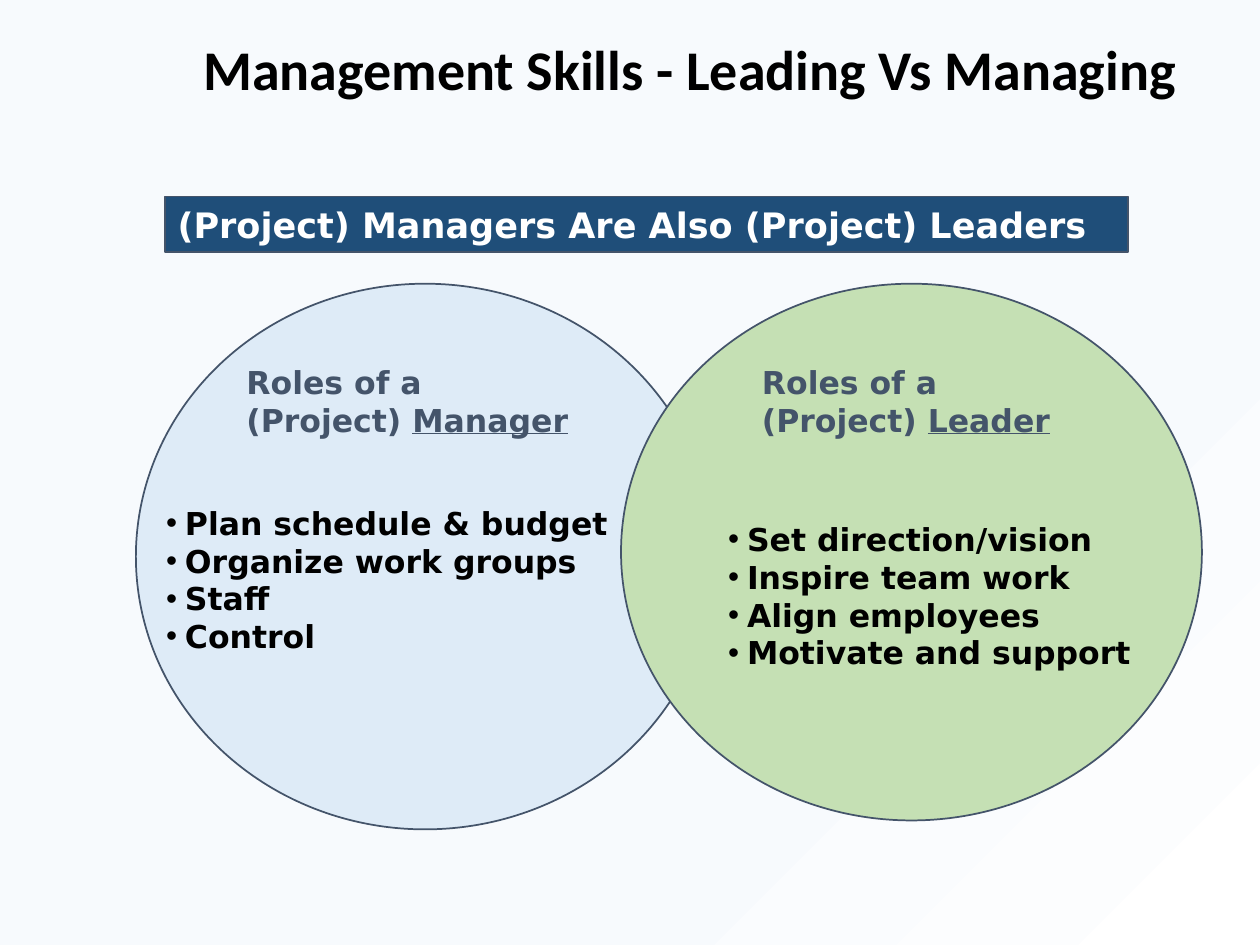
from dataclasses import dataclass
from typing import Any

from lxml import etree
from pptx import Presentation
from pptx import util as u
from pptx.dml.color import RGBColor
from pptx.enum import shapes, text
from pptx.oxml.ns import qn

COLOURS = {
    "navy": "1F4E79", "slate": "44546A", "blue": "DEEBF7", "green": "C5E0B4",
    "black": "000000", "white": "FFFFFF", "mist": "F7FAFD",
}


def colour(name):
    return RGBColor.from_string(COLOURS[name])


@dataclass
class SlideBuilder:
    """Holds the text style and the slide being built."""

    slide: Any
    font: str = "DejaVu Sans"
    size: int = 18

    def background(self):
        fill = self.slide.background.fill
        fill.gradient()
        fill.gradient_angle = 315
        for stop, (position, name) in zip(fill.gradient_stops, [(0.67, "mist"), (1, "white")]):
            stop.position = position
            stop.color.rgb = colour(name)

    def run(self, paragraph, words, name, size=None, font=None, underline=None):
        run = paragraph.add_run()
        run.text = words
        run.font.name = font or self.font
        run.font.size = u.Pt(size or self.size)
        run.font.bold = True
        run.font.underline = underline
        run.font.color.rgb = colour(name)

    def title(self, words, *box):
        shape = self.slide.shapes.title
        shape.left, shape.top, shape.width, shape.height = map(u.Cm, box)
        shape.text_frame.vertical_anchor = text.MSO_ANCHOR.MIDDLE
        paragraph = shape.text_frame.paragraphs[0]
        paragraph.alignment = text.PP_ALIGN.CENTER
        paragraph.line_spacing = 0.9
        self.run(paragraph, words, "black", 32, "Calibri")

    def shape(self, kind, fill, *box):
        shape = self.slide.shapes.add_shape(kind, *map(u.Cm, box))
        shape.shadow.inherit = False
        shape.fill.solid()
        shape.fill.fore_color.rgb = colour(fill)
        shape.line.color.rgb = colour("slate")
        shape.line.width = u.Pt(1)
        return shape

    def banner(self, words, *box):
        shape = self.shape(shapes.MSO_SHAPE.RECTANGLE, "navy", *box)
        paragraph = shape.text_frame.paragraphs[0]
        paragraph.alignment = text.PP_ALIGN.LEFT
        self.run(paragraph, words, "white", 20)

    def circle(self, fill, *box):
        self.shape(shapes.MSO_SHAPE.OVAL, fill, *box)

    def text_frame(self, *box):
        frame = self.slide.shapes.add_textbox(*map(u.Cm, box)).text_frame
        frame.word_wrap = False
        return frame

    def heading(self, role, *box):
        frame = self.text_frame(*box)
        self.run(frame.paragraphs[0], "Roles of a", "slate")
        paragraph = frame.add_paragraph()
        self.run(paragraph, "(Project) ", "slate")
        self.run(paragraph, role, "slate", underline=True)

    def bullets(self, items, *box):
        frame = self.text_frame(*box)
        for index, item in enumerate(items):
            paragraph = frame.add_paragraph() if index else frame.paragraphs[0]
            properties = paragraph._p.get_or_add_pPr()
            properties.set("marL", str(u.Cm(0.38)))
            properties.set("indent", str(u.Cm(-0.38)))
            etree.SubElement(properties, qn("a:buFont"), typeface="Arial")
            etree.SubElement(properties, qn("a:buChar"), char="•")
            self.run(paragraph, item, "black")


def main():
    presentation = Presentation()
    presentation.slide_width, presentation.slide_height = u.Cm(25.4), u.Cm(19.05)
    builder = SlideBuilder(presentation.slides.add_slide(presentation.slide_layouts[5]))
    builder.background()
    builder.title("Management Skills - Leading Vs Managing", 3.5, 0.33, 20.83, 2.24)
    builder.banner("(Project) Managers Are Also (Project) Leaders", 3.33, 3.96, 19.41, 1.12)
    builder.circle("blue", 2.74, 5.72, 11.66, 11)
    builder.circle("green", 12.52, 5.72, 11.71, 10.82)
    builder.heading("Manager", 4.72, 7.19, 7.06, 1.78)
    builder.heading("Leader", 15.11, 7.19, 6.43, 1.78)
    builder.bullets(
        ["Plan schedule & budget", "Organize work groups", "Staff", "Control"],
        3.1, 10.03, 9.6, 3.33)
    builder.bullets(
        ["Set direction/vision", "Inspire team work", "Align employees", "Motivate and support"],
        14.43, 10.36, 8.76, 3.33)
    presentation.save("out.pptx")


if __name__ == "__main__":
    main()
